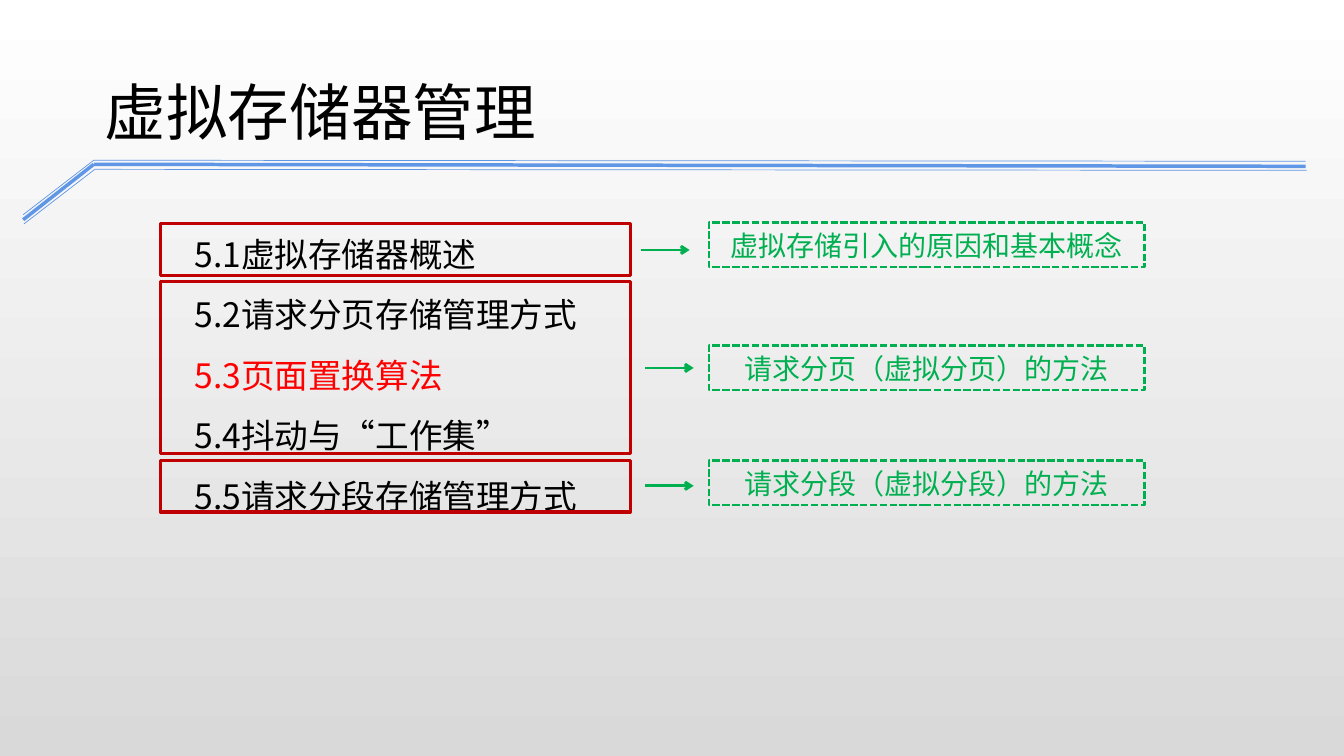
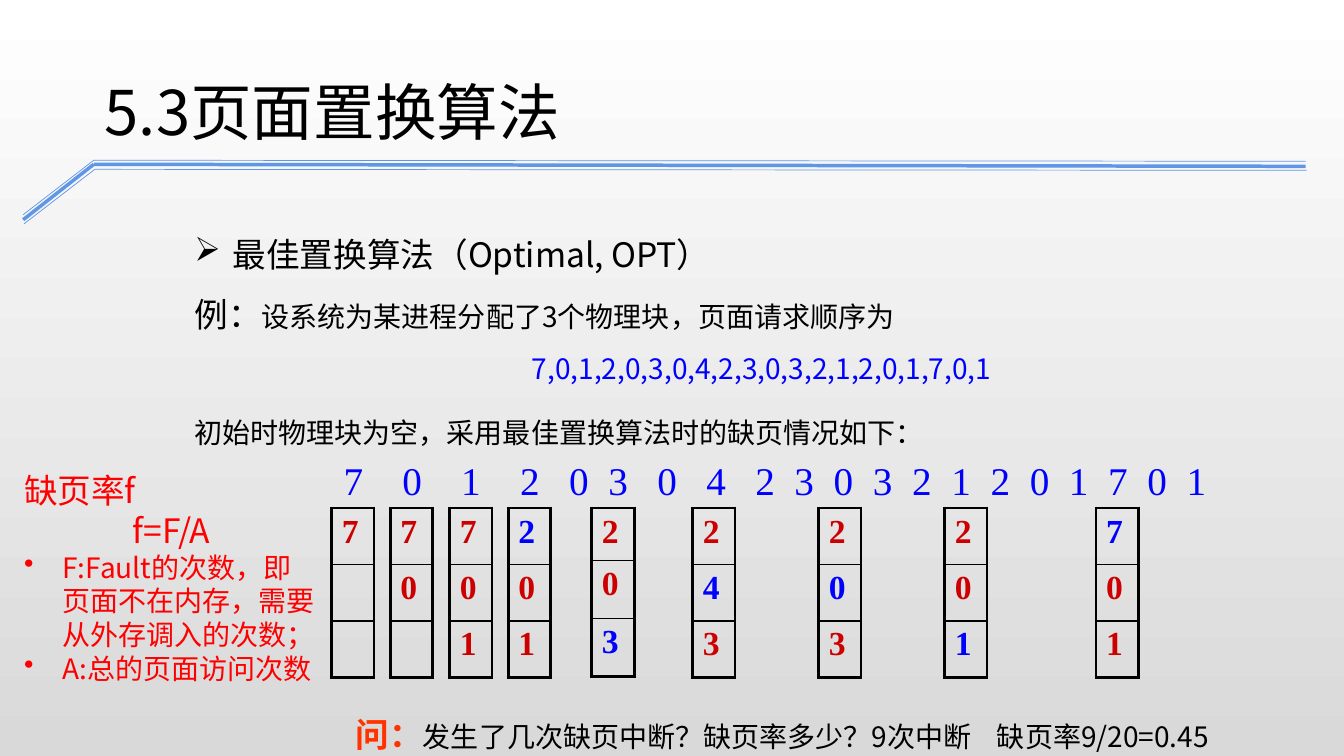
from itertools import accumulate, pairwise

from lxml.etree import SubElement
from pptx import Presentation
from pptx.dml.color import RGBColor
from pptx.enum.dml import MSO_LINE
from pptx.enum.shapes import MSO_CONNECTOR, MSO_SHAPE
from pptx.enum.text import MSO_ANCHOR, PP_ALIGN
from pptx.oxml.ns import qn
from pptx.util import Pt

EMU_PER_PX = 9144  # 100 px to the inch
SANS, SERIF = "Noto Sans CJK JP", "Times New Roman"
BLACK, RED, BLUE, GREEN = "000000", "FF0000", "0000FF", "00B050"
FRAME_RED, DIGIT_RED, ASK_RED, RULE_BLUE = "C00000", "CC0000", "FF3300", "6096E6"
BACKDROP = ("FFFFFF", "D9D9D9")
TITLE_RULES = [
    (0.5, [(23, 213), (93, 159), (1295, 160)]),
    (2.5, [(23, 218), (93, 163), (1295, 165)]),
    (0.5, [(24, 222), (94, 168), (1296, 169)]),
]
REQUESTS = "70120304230321201701"


def px(length):
    return round(length * EMU_PER_PX)


def rgb(color):
    return RGBColor.from_string(color)


def add_span(para, text, size=24, color=BLACK, font=SANS, bold=False):
    span = para.add_run()
    span.text = text
    span.font.size = Pt(size)
    span.font.bold = bold
    span.font.color.rgb = rgb(color)
    span.font.name = font
    SubElement(span.font._element, qn("a:ea"), typeface=font)


def add_para(frame, text, size=24, lines=1.0, align=PP_ALIGN.LEFT, before=0,
             bullet=None, tabs=(), **look):
    """Add a paragraph, using the empty first one if it is free."""
    para = frame.paragraphs[0]
    if para.runs:
        para = frame.add_paragraph()
    props = para._p.get_or_add_pPr()
    if bullet:
        props.set("marL", str(px(38)))
        props.set("indent", str(px(-38)))
        SubElement(props, qn("a:buChar"), char=bullet)
    if tabs:
        stops = SubElement(props, qn("a:tabLst"))
        for stop in tabs:
            SubElement(stops, qn("a:tab"), pos=str(stop), algn="l")
    para.alignment = align
    if lines:
        para.line_spacing = Pt(round(size * 1.2 * lines, 1))
    if before:
        para.space_before = Pt(before)
    add_span(para, text, size=size, **look)
    return para


def add_box(page, left, top, width, height):
    box = page.shapes.add_textbox(px(left), px(top), px(width), px(height))
    box.text_frame.word_wrap = True
    return box.text_frame


def add_line(page, start, end, color, width, arrow=False):
    line = page.shapes.add_connector(
        MSO_CONNECTOR.STRAIGHT, *(px(value) for value in (*start, *end)))
    line.line.color.rgb = rgb(color)
    line.line.width = Pt(width)
    if arrow:
        SubElement(line.line._get_or_add_ln(), qn("a:tailEnd"), type="arrow")
    SubElement(line._element.spPr, qn("a:effectLst"))


def add_frame(page, left, top, width, height, color, weight, dash=None):
    """Add an unfilled outlined rectangle."""
    frame = page.shapes.add_shape(
        MSO_SHAPE.RECTANGLE, px(left), px(top), px(width), px(height))
    frame.shadow.inherit = False
    frame.fill.background()
    frame.line.color.rgb = rgb(color)
    frame.line.width = Pt(weight)
    if dash:
        frame.line.dash_style = dash
    return frame


def new_page(deck, title):
    """Add a slide with the shared backdrop, title and bent rule."""
    page = deck.slides.add_slide(deck.slide_layouts[6])
    fill = page.background.fill
    fill.gradient()
    fill.gradient_angle = 270
    for stop, color in zip(fill.gradient_stops, BACKDROP):
        stop.color.rgb = rgb(color)
    for width, points in TITLE_RULES:
        for start, end in pairwise(points):
            add_line(page, start, end, RULE_BLUE, width)
    add_para(add_box(page, 94, 68, 952, 84), title, size=44)
    return page


def add_label(page, left, top, text):
    label = add_frame(page, left, top, 432, 44, GREEN, 1.75, MSO_LINE.SQUARE_DOT)
    label.line._get_or_add_ln().find(qn("a:prstDash")).set("val", "sysDash")
    label.text_frame.word_wrap = True
    label.text_frame.vertical_anchor = MSO_ANCHOR.MIDDLE
    add_para(label.text_frame, text, size=20, color=GREEN, align=PP_ALIGN.CENTER)


def build_outline(deck):
    page = new_page(deck, "虚拟存储器管理")
    sections = add_box(page, 183, 207, 1145, 310)
    for text, color in [("5.1虚拟存储器概述", BLACK),
                        ("5.2请求分页存储管理方式", BLACK),
                        ("5.3页面置换算法", RED),
                        ("5.4抖动与“工作集”", BLACK),
                        ("5.5请求分段存储管理方式", BLACK)]:
        add_para(sections, text, lines=1.5, color=color)
    groups = [
        (222, 51, 636, 248, 221, "虚拟存储引入的原因和基本概念"),
        (279, 171, 640, 365, 343, "请求分页（虚拟分页）的方法"),
        (457, 51, 640, 482, 457, "请求分段（虚拟分段）的方法"),
    ]
    for top, height, arrow_left, arrow_top, label_top, text in groups:
        add_frame(page, 159, top, 466, height, FRAME_RED, 2.25)
        add_line(page, (arrow_left, arrow_top), (arrow_left + 48, arrow_top),
                 GREEN, 2, arrow=True)
        add_label(page, 703, label_top, text)


def set_borders(cell, **widths):
    """Draw black cell edges; widths are points keyed L, R, T and B."""
    props = cell._tc.get_or_add_tcPr()
    for side, width in widths.items():
        edge = SubElement(props, qn(f"a:ln{side}"), w=str(Pt(width)))
        fill = SubElement(edge, qn("a:solidFill"))
        SubElement(fill, qn("a:srgbClr"), val=BLACK)


def add_memory(page, left, top, pages, loaded, heights=(56, 56, 56)):
    """Add one column of memory blocks; the block at index loaded is blue."""
    table = page.shapes.add_table(
        len(heights), 1, px(left), px(top), px(42), px(sum(heights))).table
    table.first_row = table.horz_banding = False
    table.columns[0].width = px(42)
    last = len(heights) - 1
    for index, height in enumerate(heights):
        table.rows[index].height = px(height)
        cell = table.cell(index, 0)
        set_borders(cell, L=2.25, R=2.25, T=1 if index else 2.25,
                    B=2.25 if index == last else 1)
        cell.fill.background()
        if index < len(pages):
            add_para(cell.text_frame, pages[index], lines=None, font=SERIF, bold=True,
                     color=BLUE if index == loaded else DIGIT_RED)


def add_trace(page, left, top):
    """Add the request row and the memory columns below it."""
    steps = [42] * 3 + [35, 28] + [35] * 3 + [28] * 11
    add_para(add_box(page, left + 2, top, 907, 57), "\t".join(REQUESTS), size=28,
             lines=None, font=SERIF, color=BLUE,
             tabs=[Pt(stop) for stop in accumulate(steps)])
    columns = [(0, "7", None), (58, "70", None), (117, "701", None), (175, "201", 0),
               (258, "203", 2), (358, "243", 1), (483, "203", 1), (608, "201", 2),
               (758, "701", 0)]
    for offset, pages, loaded in columns:
        heights = (52, 58, 57) if pages == "203" and loaded == 2 else (56, 56, 56)
        add_memory(page, left + offset, top + 56, pages, loaded, heights)


def add_fault_rate(page, left, top):
    notes = add_box(page, left, top, 312, 225)
    add_para(notes, "缺页率f", color=RED)
    add_para(notes, "f=F/A", color=RED, align=PP_ALIGN.CENTER)
    for text in ("F:Fault的次数，即页面不在内存，需要从外存调入的次数；",
                 "A:总的页面访问次数"):
        add_para(notes, text, size=20, color=RED, bullet="•")


def build_example(deck):
    page = new_page(deck, "5.3页面置换算法")
    body = add_box(page, 183, 207, 1145, 249)
    add_para(body, "最佳置换算法（Optimal, OPT）", lines=1.5, bullet="➢")
    example = add_para(body, "例：", lines=1.5)
    add_span(example, "设系统为某进程分配了3个物理块，页面请求顺序为", size=20)
    add_para(body, ",".join(REQUESTS), size=20, lines=1.5, color=BLUE,
             align=PP_ALIGN.CENTER)
    add_para(body, "初始时物理块为空，采用最佳置换算法时的缺页情况如下：", size=20,
             lines=1.5, before=10, align=PP_ALIGN.JUSTIFY)
    add_fault_rate(page, 14, 461)
    add_trace(page, 329, 448)
    question = add_para(add_box(page, 343, 703, 945, 47), "问：", font="Arial",
                        color=ASK_RED, bold=True, tabs=[px(636)])
    add_span(question, "发生了几次缺页中断？缺页率多少？9次中断\t缺页率9/20=0.45", size=20)


def main():
    deck = Presentation()
    deck.slide_width, deck.slide_height = px(1333), px(750)
    build_outline(deck)
    build_example(deck)
    deck.save("out.pptx")


if __name__ == "__main__":
    main()
